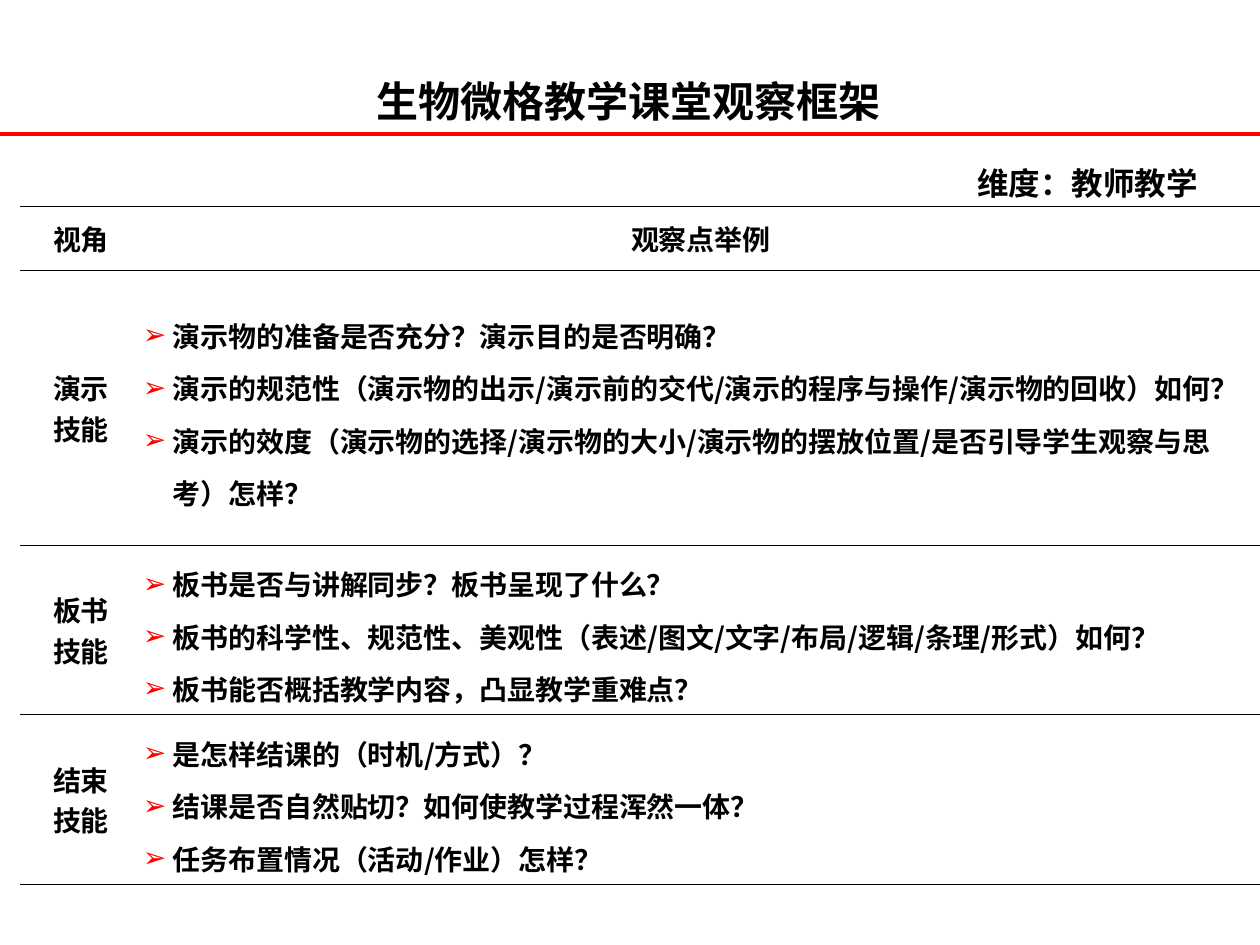
from lxml import etree
from pptx import Presentation
from pptx.dml.color import RGBColor
from pptx.enum.shapes import MSO_CONNECTOR
from pptx.enum.text import MSO_ANCHOR, MSO_AUTO_SIZE, PP_ALIGN
from pptx.oxml.ns import qn
from pptx.util import Pt

BLACK = RGBColor(0, 0, 0)
RED = RGBColor(0xFF, 0, 0)
CJK = "Noto Sans CJK SC"
CENTER, LEFT = PP_ALIGN.CENTER, PP_ALIGN.LEFT
TOP, MIDDLE = MSO_ANCHOR.TOP, MSO_ANCHOR.MIDDLE
NO_AUTOFIT = MSO_AUTO_SIZE.NONE
STRAIGHT = MSO_CONNECTOR.STRAIGHT
TITLE_ONLY = 5

HEADER = ("视角", "观察点举例")
SKILLS = [
    (("演示", "技能"), (
        "演示物的准备是否充分？演示目的是否明确？",
        "演示的规范性（演示物的出示/演示前的交代/演示的程序与操作/演示物的回收）如何？",
        "演示的效度（演示物的选择/演示物的大小/演示物的摆放位置/是否引导学生观察与思考）怎样？")),
    (("板书", "技能"), (
        "板书是否与讲解同步？板书呈现了什么？",
        "板书的科学性、规范性、美观性（表述/图文/文字/布局/逻辑/条理/形式）如何？",
        "板书能否概括教学内容，凸显教学重难点？")),
    (("结束", "技能"), (
        "是怎样结课的（时机/方式）？",
        "结课是否自然贴切？如何使教学过程浑然一体？",
        "任务布置情况（活动/作业）怎样？")),
]


def add_run(p, text, size, font=CJK):
    r = p.add_run()
    r.text = text
    r.font.size = Pt(size)
    r.font.bold = True
    r.font.color.rgb = BLACK
    r.font.name = font
    etree.SubElement(r._r.get_or_add_rPr(), qn("a:ea"), typeface=CJK)


def set_bullet(p):
    pPr = p._p.get_or_add_pPr()
    pPr.set("marL", str(Pt(17)))
    pPr.set("indent", str(-Pt(17)))
    pPr.set("hangingPunct", "0")
    color = etree.SubElement(pPr, qn("a:buClr"))
    etree.SubElement(color, qn("a:srgbClr"), val=str(RED))
    etree.SubElement(pPr, qn("a:buFont"), typeface="Arial")
    etree.SubElement(pPr, qn("a:buChar"), char="➢")


def set_borders(cell):
    """Thin rules above and below, none at the sides."""
    tcPr = cell._tc.get_or_add_tcPr()
    for side in ("lnL", "lnR"):
        etree.SubElement(etree.SubElement(tcPr, qn(f"a:{side}"), w="0"), qn("a:noFill"))
    for side in ("lnT", "lnB"):
        ln = etree.SubElement(tcPr, qn(f"a:{side}"), w=str(Pt(0.45)))
        fill = etree.SubElement(ln, qn("a:solidFill"))
        etree.SubElement(fill, qn("a:srgbClr"), val=str(BLACK))


def fill_cell(cell, lines, bulleted=False):
    set_borders(cell)
    cell.fill.background()
    cell.vertical_anchor = MIDDLE
    cell.margin_left = cell.margin_right = Pt(0.72)
    cell.margin_top = cell.margin_bottom = Pt(3.6)
    tf = cell.text_frame
    for i, line in enumerate(lines):
        p = tf.add_paragraph() if i else tf.paragraphs[0]
        if bulleted:
            set_bullet(p)
            p.line_spacing = 1.3
        p.alignment = LEFT if bulleted else CENTER
        add_run(p, line, 16)


def add_title(slide, x, y, w, h):
    sp = slide.shapes.title
    sp.left, sp.top, sp.width, sp.height = Pt(x), Pt(y), Pt(w), Pt(h)
    tf = sp.text_frame
    tf.auto_size = NO_AUTOFIT
    tf.vertical_anchor = TOP
    p = tf.paragraphs[0]
    p.alignment = CENTER
    add_run(p, "生物微格教学课堂观察框架", 24, "Arial")


def add_rule(slide, x, y, w):
    line = slide.shapes.add_connector(STRAIGHT, Pt(x), Pt(y), Pt(x + w), Pt(y))
    line.line.color.rgb = RED
    line.line.width = Pt(2.25)
    etree.SubElement(line._element.spPr, qn("a:effectLst"))


def add_dimension(slide, x, y, w, h):
    tf = slide.shapes.add_textbox(Pt(x), Pt(y), Pt(w), Pt(h)).text_frame
    tf.word_wrap = True
    add_run(tf.paragraphs[0], "维度：教师教学", 18)


def add_framework(slide, x, y, w, h):
    table = slide.shapes.add_table(len(SKILLS) + 1, 2, Pt(x), Pt(y), Pt(w), Pt(h)).table
    table.first_row = table.horz_banding = False
    # The second column takes the width left over
    label_w = 69.5
    for column, width in zip(table.columns, (label_w, w - label_w)):
        column.width = Pt(width)
    for row, height in zip(table.rows, (36.5, 132.3, 92.8, 92.8)):
        row.height = Pt(height)
    for col, text in enumerate(HEADER):
        fill_cell(table.cell(0, col), [text])
    for row, (label, points) in enumerate(SKILLS, 1):
        fill_cell(table.cell(row, 0), label)
        fill_cell(table.cell(row, 1), points, bulleted=True)


def main():
    prs = Presentation()
    prs.slide_width, prs.slide_height = Pt(720), Pt(540)
    slide = prs.slides.add_slide(prs.slide_layouts[TITLE_ONLY])
    add_framework(slide, 11.5, 118, 708.5, 354.4)
    add_title(slide, 72, 39.6, 574, 36)
    add_dimension(slide, 551.3, 90, 157.7, 29)
    add_rule(slide, 0, 76.5, 720)
    prs.save("out.pptx")


if __name__ == "__main__":
    main()
